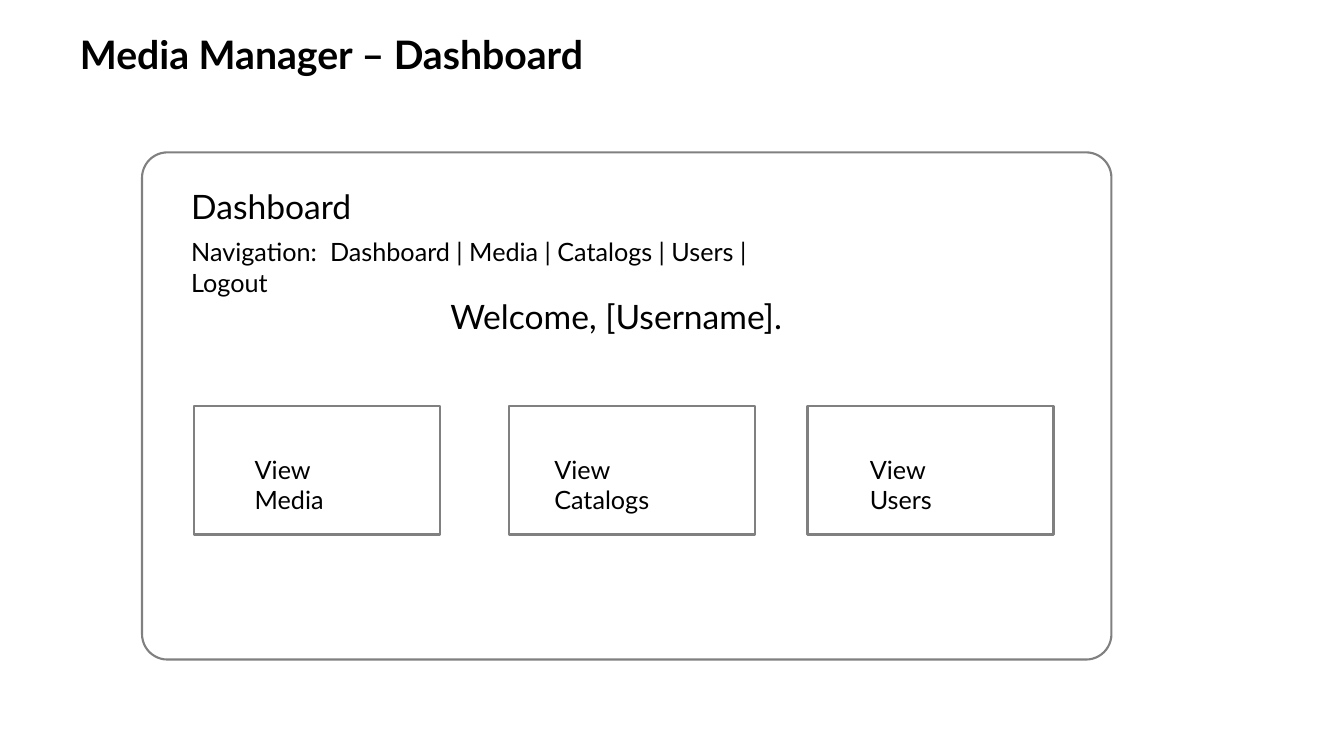
"""Build the media manager dashboard wireframe slide."""
from lxml.etree import SubElement
from pptx import Presentation
from pptx.dml.color import RGBColor
from pptx.enum.shapes import MSO_SHAPE as Shape
from pptx.enum.text import MSO_ANCHOR as Anchor, MSO_AUTO_SIZE as AutoSize, PP_ALIGN as Align
from pptx.oxml.ns import qn
from pptx.util import Cm, Pt

BLACK = RGBColor(0x00, 0x00, 0x00)
WHITE = RGBColor(0xFF, 0xFF, 0xFF)
GRAY = RGBColor(0x80, 0x80, 0x80)


def write(shape, text, size, bold=False):
    frame = shape.text_frame
    frame.word_wrap = True
    frame.auto_size = AutoSize.NONE
    frame.vertical_anchor = Anchor.TOP
    paragraph = frame.paragraphs[0]
    paragraph.alignment = Align.LEFT
    run = paragraph.add_run()
    run.text = text
    run.font.name = "Lato"
    run.font.size = Pt(size)
    run.font.bold = bold
    run.font.color.rgb = BLACK
    return paragraph


def add_frame(kind, left, top, width, height):
    shape = slide.shapes.add_shape(kind, Cm(left), Cm(top), Cm(width), Cm(height))
    shape.shadow.inherit = False
    shape.line.color.rgb = GRAY
    shape.line.width = Pt(1.5)
    return shape


presentation = Presentation()
presentation.slide_width = Cm(33.87)
presentation.slide_height = Cm(19.05)
slide = presentation.slides.add_slide(presentation.slide_layouts[5])

title = slide.shapes.title
title.left, title.top, title.width, title.height = Cm(1.76), Cm(0.64), Cm(13.4), Cm(1.45)
write(title, "Media Manager – Dashboard", 28, bold=True)

window = add_frame(Shape.ROUNDED_RECTANGLE, 3.58, 3.84, 24.43, 12.78)
window.adjustments[0] = 0.05
window.fill.solid()
window.fill.fore_color.rgb = WHITE

heading = slide.shapes.add_textbox(Cm(4.57), Cm(4.57), Cm(4.6), Cm(1.27))
write(heading, "Dashboard", 24)

navigation = slide.shapes.add_textbox(Cm(4.57), Cm(5.84), Cm(16.3), Cm(1.02))
links = write(navigation, "Navigation:\tDashboard | Media | Catalogs | Users | Logout", 18)
tabs = SubElement(links._p.get_or_add_pPr(), qn("a:tabLst"))
SubElement(tabs, qn("a:tab"), pos=str(Cm(3.5)), algn="l")

welcome = slide.shapes.add_textbox(Cm(11.1), Cm(7.34), Cm(9.65), Cm(1.27))
write(welcome, "Welcome, [Username].", 24)

CARDS = [
    ("View Media", 4.9, 6.17, 3.64),
    ("View Catalogs", 12.83, 13.72, 4.35),
    ("View Users", 20.35, 21.67, 3.56),
]
for text, card_left, label_left, label_width in CARDS:
    card = add_frame(Shape.RECTANGLE, card_left, 10.24, 6.2, 3.23)
    card.fill.background()
    label = slide.shapes.add_textbox(Cm(label_left), Cm(11.33), Cm(label_width), Cm(1.02))
    write(label, text, 18)

presentation.save("out.pptx")
